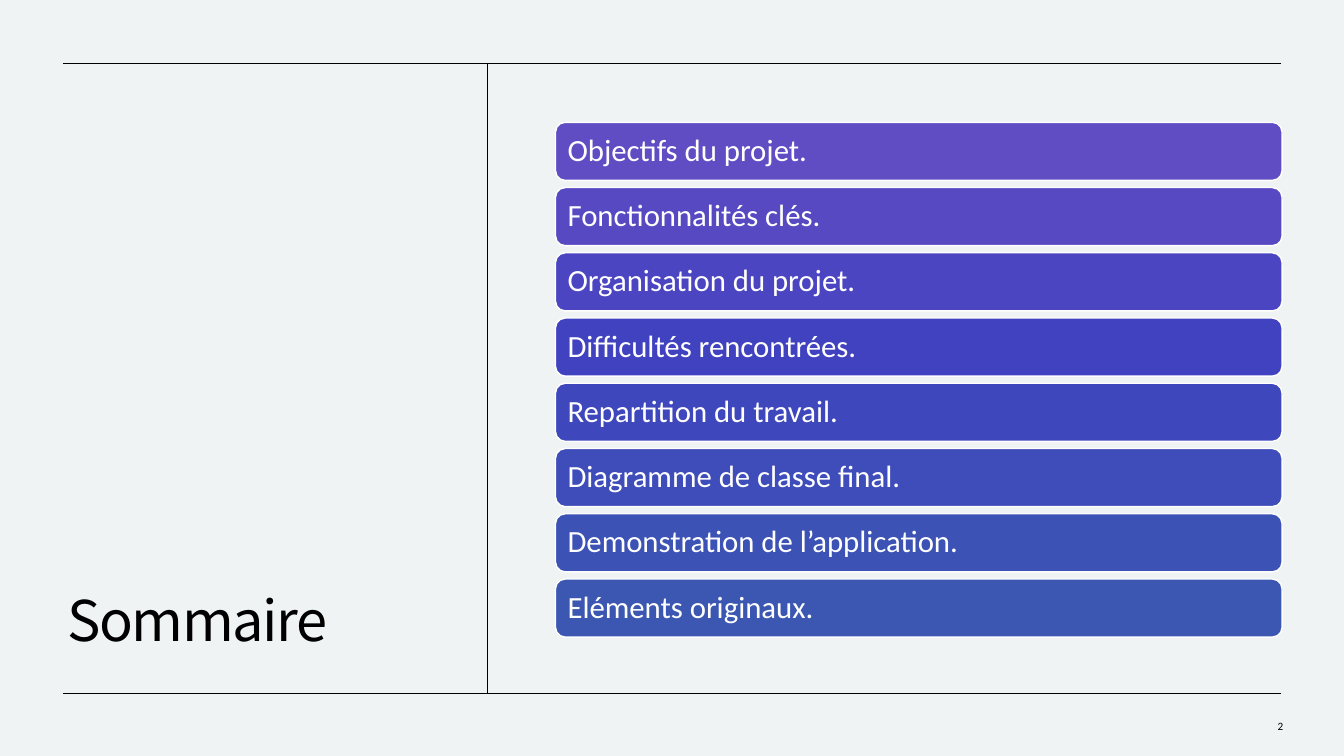
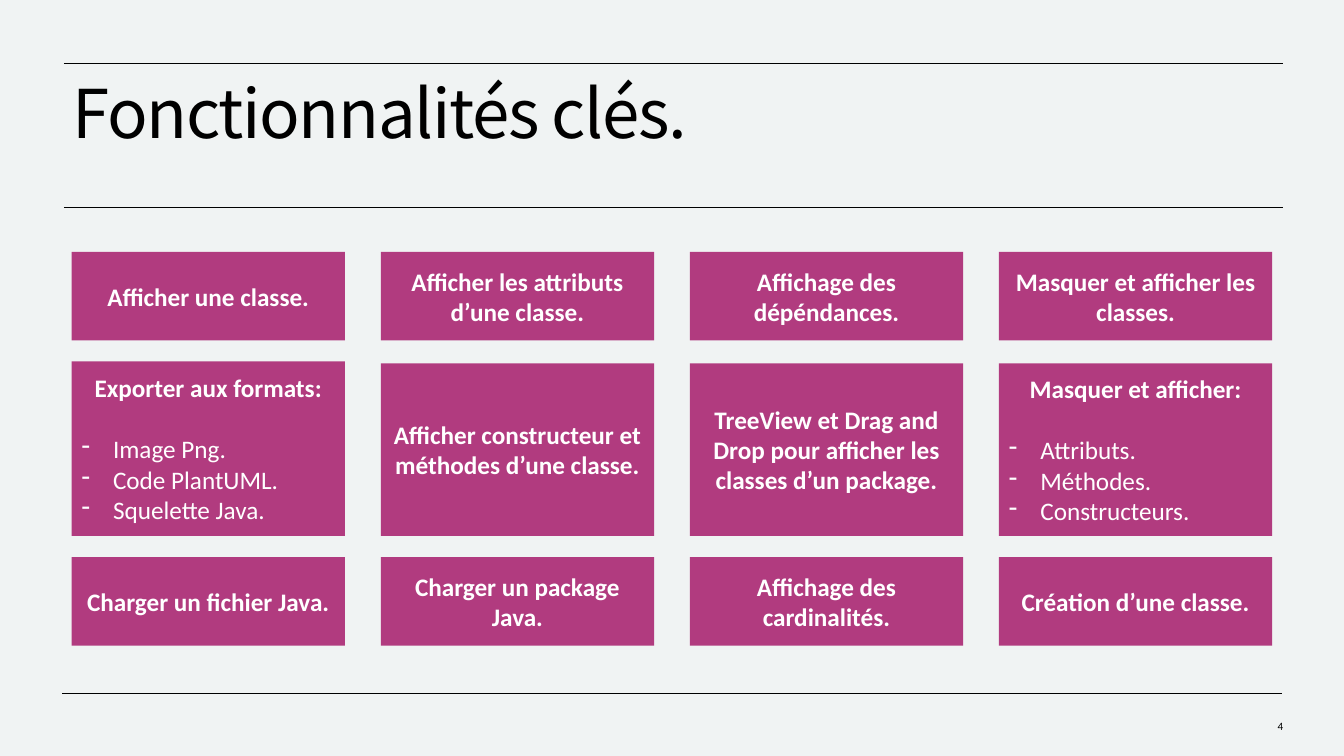
from dataclasses import dataclass

from lxml.etree import SubElement
from pptx import Presentation
from pptx.dml.color import RGBColor
from pptx.enum.shapes import MSO_CONNECTOR as Connector
from pptx.enum.shapes import MSO_SHAPE as Preset
from pptx.enum.text import MSO_ANCHOR as Anchor
from pptx.enum.text import PP_ALIGN as Align
from pptx.oxml.ns import qn
from pptx.slide import Slide
from pptx.util import Pt

# Shared look
COLORS = {"paper": "F0F3F3", "ink": "000000", "white": "FFFFFF", "card": "B13B7F"}
TITLE_FONT = "Noto Sans CJK KR"
BODY_FONT = "Calibri"


@dataclass(frozen=True)
class Area:
    left: float
    top: float
    width: float
    height: float

    def lengths(self) -> tuple:
        return Pt(self.left), Pt(self.top), Pt(self.width), Pt(self.height)


@dataclass(frozen=True)
class Rule:
    x1: float
    y1: float
    x2: float
    y2: float


@dataclass(frozen=True)
class Bar:
    text: str
    color: str


@dataclass(frozen=True)
class Card:
    heading: str
    items: tuple[str, ...] = ()
    extra_top: float = 0


@dataclass(frozen=True)
class CardRow:
    top: float
    height: float
    cards: tuple[Card, ...]


def rgb(value: str) -> RGBColor:
    return RGBColor.from_string(value)


def style(para, size: float, color: str, font: str = BODY_FONT, bold: bool = False,
          align: Align = Align.LEFT) -> None:
    para.alignment = align
    para.font.name = font
    para.font.size = Pt(size)
    para.font.bold = bold
    para.font.color.rgb = rgb(COLORS[color])


def add_text_box(page: Slide, area: Area, text: str, anchor: Anchor):
    frame = page.shapes.add_textbox(*area.lengths()).text_frame
    frame.word_wrap = True
    frame.vertical_anchor = anchor
    para = frame.paragraphs[0]
    para.text = text
    return para


def add_title(page: Slide, area: Area, text: str, size: float, anchor: Anchor) -> None:
    para = add_text_box(page, area, text, anchor)
    style(para, size, "ink", TITLE_FONT)
    para.line_spacing = 0.9
    for span in para.runs:
        span.font._element.set("spc", "-100")


def add_page_number(page: Slide, number: int) -> None:
    para = add_text_box(page, Area(868.3, 504, 55.4, 28.8), str(number), Anchor.MIDDLE)
    style(para, 8, "ink", align=Align.RIGHT)


def add_rule(page: Slide, rule: Rule) -> None:
    line = page.shapes.add_connector(
        Connector.STRAIGHT, Pt(rule.x1), Pt(rule.y1), Pt(rule.x2), Pt(rule.y2))
    line.line.color.rgb = rgb(COLORS["ink"])
    line.line.width = Pt(0.5)
    SubElement(line._element.spPr, qn("a:effectLst"))


def add_box(page: Slide, preset: Preset, area: Area, color: str):
    box = page.shapes.add_shape(preset, *area.lengths())
    box.shadow.inherit = False
    box.fill.solid()
    box.fill.fore_color.rgb = rgb(color)
    box.line.fill.background()
    box.text_frame.word_wrap = True
    box.text_frame.vertical_anchor = Anchor.MIDDLE
    return box


def add_bar(page: Slide, area: Area, bar: Bar) -> None:
    box = add_box(page, Preset.ROUNDED_RECTANGLE, area, bar.color)
    box.line.color.rgb = rgb(COLORS["white"])
    box.line.width = Pt(1)
    box.text_frame.margin_left = box.text_frame.margin_right = Pt(6.6)
    para = box.text_frame.paragraphs[0]
    para.text = bar.text
    style(para, 22, "white")
    para.line_spacing = 0.9


def add_dash(para) -> None:
    properties = para._p.get_or_add_pPr()
    properties.set("marL", str(Pt(22.5)))
    properties.set("indent", str(-Pt(22.5)))
    SubElement(properties, qn("a:buFontTx"))
    SubElement(properties, qn("a:buChar")).set("char", "-")


def add_card(page: Slide, area: Area, card: Card) -> None:
    frame = add_box(page, Preset.RECTANGLE, area, COLORS["card"]).text_frame
    heading = frame.paragraphs[0]
    heading.text = card.heading
    style(heading, 18, "white", bold=True, align=Align.CENTER)
    if card.items:
        heading.space_after = Pt(22)
    for item in card.items:
        para = frame.add_paragraph()
        para.text = item
        add_dash(para)
        style(para, 18, "white")


# Contents of the agenda
BARS = (
    Bar("Objectifs du projet.", "614DC3"),
    Bar("Fonctionnalités clés.", "5749C2"),
    Bar("Organisation du projet.", "4C45C1"),
    Bar("Difficultés rencontrées.", "4142BF"),
    Bar("Repartition du travail.", "3F47BC"),
    Bar("Diagramme de classe final.", "3E4DB9"),
    Bar("Demonstration de l’application.", "3C52B5"),
    Bar("Eléments originaux.", "3B57B1"),
)
AGENDA_RULES = (
    Rule(45, 495.2, 915, 495.2),
    Rule(348, 45, 348, 495.2),
    Rule(45, 45, 915, 45),
)

# Contents of the feature grid
CARD_ROWS = (
    CardRow(180, 63.2, (
        Card("Afficher une classe."),
        Card("Afficher les attributs d’une classe."),
        Card("Affichage des dépéndances."),
        Card("Masquer et afficher les classes."),
    )),
    CardRow(259.6, 123.2, (
        Card("Exporter aux formats:",
             ("Image Png.", "Code PlantUML.", "Squelette Java."), extra_top=1.5),
        Card("Afficher constructeur et méthodes d’une classe."),
        Card("TreeView et Drag and Drop pour afficher les classes d’un package."),
        Card("Masquer et afficher:", ("Attributs.", "Méthodes.", "Constructeurs.")),
    )),
    CardRow(398, 63.2, (
        Card("Charger un fichier Java."),
        Card("Charger un package Java."),
        Card("Affichage des cardinalités."),
        Card("Création d’une classe."),
    )),
)
FEATURE_RULES = (
    Rule(44.5, 495, 915.4, 495),
    Rule(45.7, 148.2, 916.4, 148.2),
    Rule(45.7, 45, 916.4, 45),
)


def build_agenda(page: Slide) -> None:
    add_title(page, Area(41, 71.3, 275.8, 398.9), "Sommaire", 40, Anchor.BOTTOM)
    for rule in AGENDA_RULES:
        add_rule(page, rule)
    for index, bar in enumerate(BARS):
        add_bar(page, Area(396.8, 87.4 + 46.6 * index, 519, 41.5), bar)
    add_page_number(page, 2)


def build_features(page: Slide) -> None:
    for rule in FEATURE_RULES:
        add_rule(page, rule)
    add_title(page, Area(45, 54, 870, 85.7), "Fonctionnalités clés.", 48, Anchor.TOP)
    for row in CARD_ROWS:
        for column, card in enumerate(row.cards):
            area = Area(51.2 + 220.8 * column, row.top - card.extra_top,
                        195.2, row.height + card.extra_top)
            add_card(page, area, card)
    add_page_number(page, 4)


def main() -> None:
    deck = Presentation()
    deck.slide_width, deck.slide_height = Pt(960), Pt(540)
    paper = deck.slide_master.background.fill
    paper.solid()
    paper.fore_color.rgb = rgb(COLORS["paper"])
    blank = deck.slide_layouts[6]
    for build in (build_agenda, build_features):
        build(deck.slides.add_slide(blank))
    deck.save("out.pptx")


if __name__ == "__main__":
    main()
